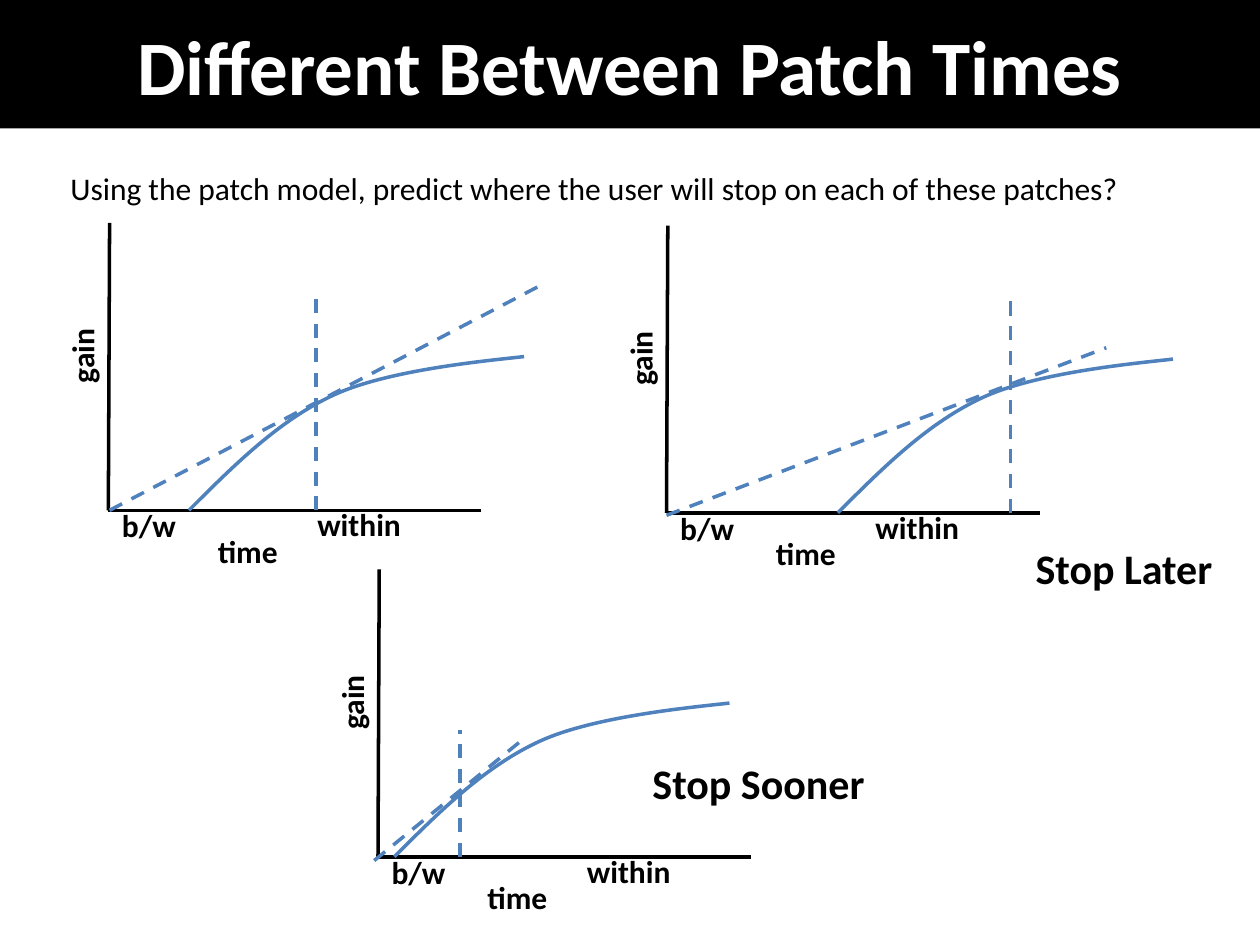
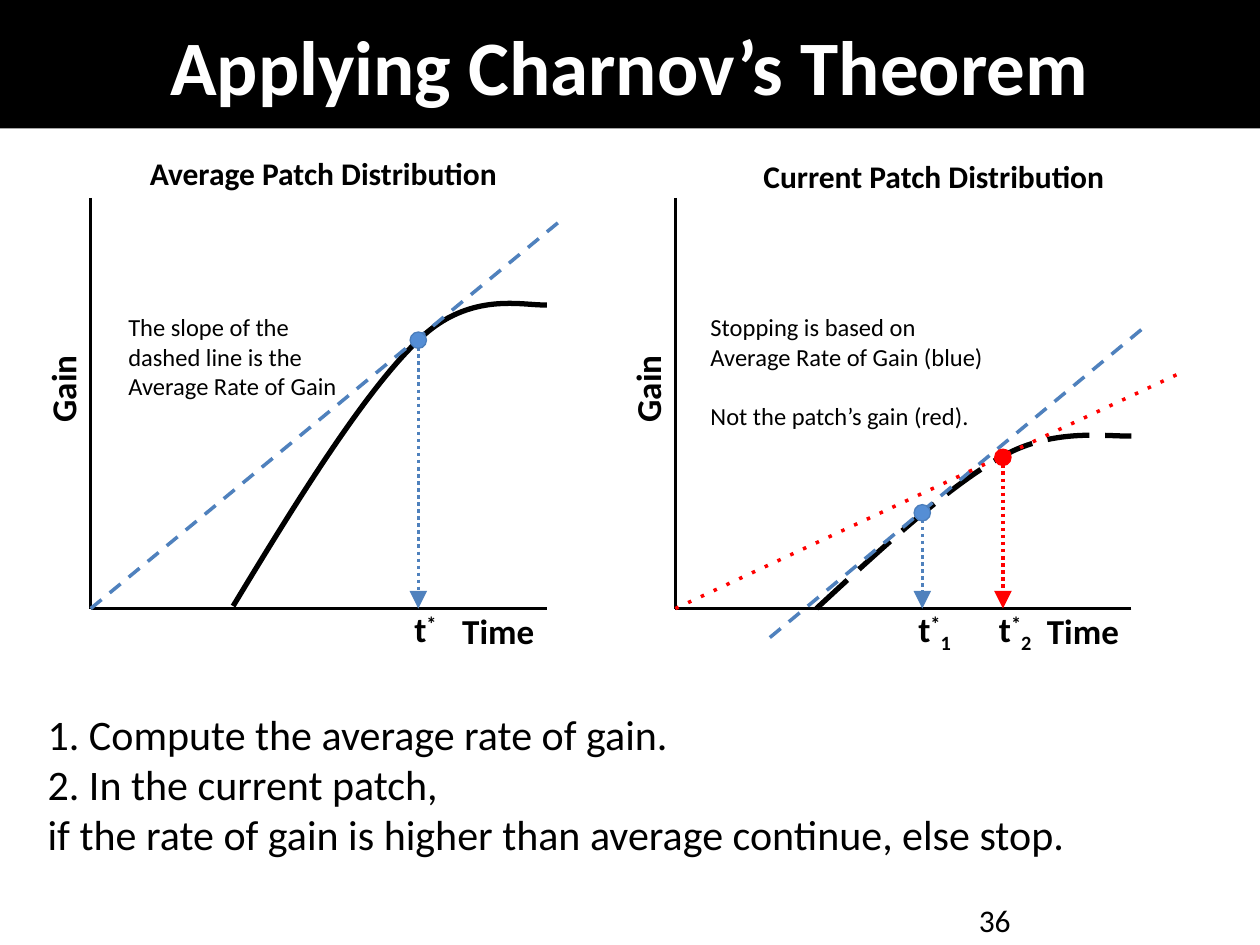
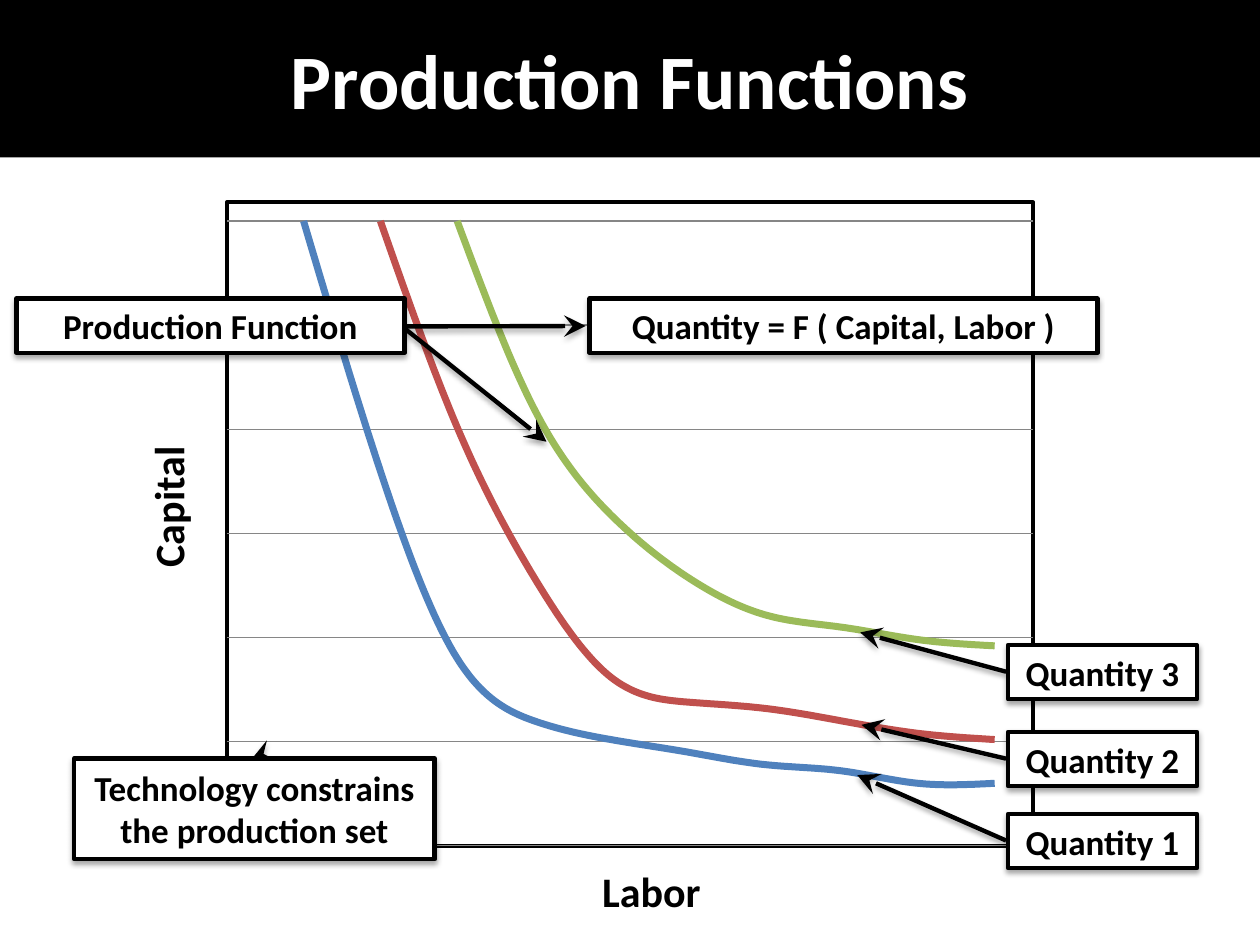
from lxml import etree
from pptx import Presentation
from pptx.chart.data import XyChartData
from pptx.dml.color import RGBColor
from pptx.enum.chart import XL_CHART_TYPE
from pptx.enum.shapes import MSO_CONNECTOR, MSO_SHAPE
from pptx.enum.text import MSO_ANCHOR, PP_ALIGN
from pptx.oxml import parse_xml
from pptx.oxml.ns import nsdecls, qn
from pptx.util import Inches, Pt

STRAIGHT = MSO_CONNECTOR.STRAIGHT
OVAL, CALLOUT = MSO_SHAPE.OVAL, MSO_SHAPE.LINE_CALLOUT_1
SMOOTH_SCATTER = XL_CHART_TYPE.XY_SCATTER_SMOOTH_NO_MARKERS
MIDDLE = MSO_ANCHOR.MIDDLE
LEFT, CENTER = PP_ALIGN.LEFT, PP_ALIGN.CENTER

BLACK = RGBColor(0x00, 0x00, 0x00)
WHITE = RGBColor(0xFF, 0xFF, 0xFF)
BLUE = RGBColor(0x4F, 0x81, 0xBD)
RED = RGBColor(0xFF, 0x00, 0x00)
BRICK = RGBColor(0xC0, 0x50, 0x4D)
GREEN = RGBColor(0x9B, 0xBB, 0x59)
GRAY = RGBColor(0x86, 0x86, 0x86)
DOT_FILL = RGBColor(0x55, 0x8E, 0xD5)
DOT_LINE = RGBColor(0x4B, 0x7E, 0xBC)

FONT = "Calibri"
WIDTH, HEIGHT = 10, 7.5
LINE_HEIGHTS = {18: 0.4, 20: 0.44, 24: 0.5}
DOT_SIZE = 0.13
LAYOUT_TITLE_ONLY = 5


# Text

def style(para, size, bold=False, color=BLACK, align=LEFT):
    para.alignment = align
    para.font.name = FONT
    para.font.size = Pt(size)
    para.font.bold = bold
    para.font.color.rgb = color


def fill_text(frame, lines, size, **look):
    frame.text = "\n".join(lines)
    for para in frame.paragraphs:
        style(para, size, **look)


def add_text(page, left, top, width, lines, size, height=None, bold=False,
             turn=0, wrap=False):
    height = height or LINE_HEIGHTS[size]
    box = page.shapes.add_textbox(Inches(left), Inches(top), Inches(width), Inches(height))
    box.rotation = turn
    box.text_frame.word_wrap = wrap
    fill_text(box.text_frame, lines, size, bold=bold)
    return box


def add_time_label(page, left, top, index):
    """Write t with a raised star and an optional lowered index."""
    box = add_text(page, left, top, 0.5 if index else 0.4, ["t"], 20, bold=True)
    para = box.text_frame.paragraphs[0]
    for text, baseline in (("*", 30000), (index, -25000)):
        if text:
            span = para.add_run()
            span.text = text
            span._r.get_or_add_rPr().set("baseline", str(baseline))


# Lines and curves

def draw_with(shape, color, width, dash=None, arrow=None):
    shape.line.color.rgb = color
    shape.line.width = Pt(width)
    outline = shape._element.spPr.find(qn("a:ln"))
    if dash:
        etree.SubElement(outline, qn("a:prstDash")).set("val", dash)
    if arrow:
        head = etree.SubElement(outline, qn("a:tailEnd"))
        for name, value in (("type", arrow), ("w", "lg"), ("len", "lg")):
            head.set(name, value)


def add_line(page, start, end, color=BLACK, dash=None, arrow=None):
    line = page.shapes.add_connector(STRAIGHT, *map(Inches, (*start, *end)))
    draw_with(line, color, 2, dash, arrow)
    etree.SubElement(line._element.spPr, qn("a:effectLst"))


def add_curve(page, points, color, width, dash=None):
    """Join cubic pieces; each piece starts where the one before it ends."""
    corners = [(Inches(x), Inches(y)) for x, y in points]
    builder = page.shapes.build_freeform(*corners[0])
    builder.add_line_segments(corners[3::3], close=False)
    curve = builder.convert_to_shape()
    segments = curve._element.spPr.findall(".//" + qn("a:lnTo"))
    for piece, segment in enumerate(segments):
        cubic = etree.Element(qn("a:cubicBezTo"))
        for x, y in corners[3 * piece + 1:3 * piece + 4]:
            point = etree.SubElement(cubic, qn("a:pt"))
            point.set("x", str(x - curve.left))
            point.set("y", str(y - curve.top))
        segment.getparent().replace(segment, cubic)
    curve.fill.background()
    curve.shadow.inherit = False
    draw_with(curve, color, width, dash)


# Plots made of lines; offsets run right and up from the plot's origin

def offset(origin, right, up):
    return origin[0] + right, origin[1] - up


def add_axes(page, origin, width, height, lean=0):
    add_line(page, offset(origin, lean, height), origin)
    add_line(page, offset(origin, width, 0), origin)


def add_patch_plot(page, origin, between, gain_line, stop_at, stop_height):
    add_axes(page, origin, 2.96, 2.28, lean=0.01)
    for text, right, up, width, turn in (
            ("b/w", 0.01, 0.08, 0.63, 0), ("within", 1.56, 0.09, 0.87, 0),
            ("time", 0.77, -0.12, 0.68, 0), ("gain", -0.53, 1.43, 0.64, 270)):
        add_text(page, *offset(origin, right, up), width, [text], 18, bold=True, turn=turn)
    gain = ((0, 0), (0.36, 0.36), (0.72, 0.72), (1.16, 0.92),
            (1.6, 1.12), (2.4, 1.19), (2.66, 1.22))
    add_curve(page, [offset(origin, between + x, y) for x, y in gain], BLUE, 2)
    start, end = gain_line
    add_line(page, offset(origin, *start), offset(origin, *end), BLUE, "dash")
    add_line(page, offset(origin, stop_at, 0), offset(origin, stop_at, stop_height),
             BLUE, "dash")


def add_distribution(page, origin, heading, heading_at, width, gain, dash=None):
    add_axes(page, origin, 3.62, 3.26)
    add_text(page, *offset(origin, *heading_at), width, [heading], 18, bold=True)
    add_text(page, *offset(origin, 2.85, 0.04), 0.78, ["Time"], 20, bold=True)
    add_text(page, *offset(origin, -0.59, 1.97), 0.74, ["Gain"], 20, bold=True, turn=270)
    add_curve(page, [offset(origin, *point) for point in gain], BLACK, 3, dash)


def add_stop(page, origin, right, up, color, fill, edge, index=None):
    point = offset(origin, right, up)
    add_line(page, point, offset(origin, right, 0), color, "sysDot", "triangle")
    corner = [Inches(value - DOT_SIZE / 2) for value in point]
    dot = page.shapes.add_shape(OVAL, *corner, Inches(DOT_SIZE), Inches(DOT_SIZE))
    dot.shadow.inherit = False
    dot.fill.solid()
    dot.fill.fore_color.rgb = fill
    draw_with(dot, edge, 0.75)
    add_time_label(page, *offset(origin, right - 0.13, 0.06), index)


# Production chart and its callouts

def add_isoquants(page):
    curves = (
        ("Series 1", BLUE, (100, 60, 30, 20, 17, 15, 13, 12, 10, 10)),
        ("Series 2", BRICK, (None, 100, 67, 43, 27, 23, 22, 20, 18, 17)),
        ("Series 3", GREEN, (None, None, 100, 70, 53, 43, 37, 35, 33, 32)),
    )
    data = XyChartData()
    for name, _, values in curves:
        series = data.add_series(name)
        for labor, capital in enumerate(values, 1):
            series.add_data_point(labor, capital)
    frame = page.shapes.add_chart(SMOOTH_SCATTER, Inches(WIDTH / 6), Inches(HEIGHT / 5),
                                  Inches(WIDTH * 2 / 3), Inches(5.32), data)
    chart = frame.chart
    chart.has_legend = chart.has_title = False
    chart.font.name, chart.font.size = FONT, Pt(10)
    chart.font.color.rgb = BLACK
    chart.plots[0].vary_by_categories = False
    for series, (_, color, _) in zip(chart.plots[0].series, curves):
        series.format.line.color.rgb = color
        series.format.line.width = Pt(4)
        smooth_and_clear(series._element)
    for axis, top in ((chart.category_axis, 10.5), (chart.value_axis, 103)):
        axis.minimum_scale, axis.maximum_scale = 0, top
        axis.visible = False
    chart.category_axis.has_major_gridlines = False
    chart.value_axis.major_unit = 16.67
    chart.value_axis.has_major_gridlines = True
    grid = chart.value_axis.major_gridlines.format.line
    grid.color.rgb, grid.width = GRAY, Pt(0.75)
    frame_plot_area(chart)


def smooth_and_clear(series):
    """Smooth a scatter series and leave its missing values blank."""
    smooth = series.find(qn("c:smooth"))
    if smooth is None:
        smooth = etree.SubElement(series, qn("c:smooth"))
    smooth.set("val", "1")
    for point in series.findall(".//" + qn("c:pt")):
        if point.findtext(qn("c:v")) in ("None", ""):
            point.getparent().remove(point)


def frame_plot_area(chart):
    area = chart._chartSpace.find(".//" + qn("c:plotArea"))
    for old in area.findall(qn("c:layout")):
        area.remove(old)
    area.insert(0, parse_xml(
        f'<c:layout {nsdecls("c")}><c:manualLayout><c:layoutTarget val="inner"/>'
        '<c:xMode val="edge"/><c:yMode val="edge"/><c:x val="0.02"/><c:y val="0.02"/>'
        '<c:w val="0.96"/><c:h val="0.96"/></c:manualLayout></c:layout>'))
    area.append(parse_xml(
        f'<c:spPr {nsdecls("c", "a")}><a:noFill/><a:ln w="{Pt(2.25)}"><a:solidFill>'
        f'<a:srgbClr val="{BLACK}"/></a:solidFill></a:ln></c:spPr>'))


def add_callout(page, left, top, width, lines, pointer, height=0.43):
    box = page.shapes.add_shape(CALLOUT, *map(Inches, (left, top, width, height)))
    for number, share in enumerate(pointer):
        box.adjustments[number] = share
    box.fill.solid()
    box.fill.fore_color.rgb = WHITE
    draw_with(box, BLACK, 2.5, arrow="stealth")
    box.shadow.inherit = False
    box._element.spPr.find(qn("a:effectLst")).append(parse_xml(
        f'<a:outerShdw {nsdecls("a")} blurRad="{Pt(3.1)}" dist="{Pt(1.8)}" dir="5400000" '
        f'rotWithShape="0"><a:srgbClr val="{BLACK}"><a:alpha val="35000"/></a:srgbClr>'
        '</a:outerShdw>'))
    box.text_frame.word_wrap = True
    box.text_frame.vertical_anchor = MIDDLE
    fill_text(box.text_frame, lines, 20, bold=True, align=CENTER)


# Slides

def add_page(deck, heading, band=1.02):
    page = deck.slides.add_slide(deck.slide_layouts[LAYOUT_TITLE_ONLY])
    title = page.shapes.title
    title.left, title.top = 0, 0
    title.width, title.height = Inches(WIDTH), Inches(band)
    title.fill.solid()
    title.fill.fore_color.rgb = BLACK
    title.text_frame.vertical_anchor = MIDDLE
    fill_text(title.text_frame, [heading], 44, bold=True, color=WHITE, align=CENTER)
    return page


def build_patch_times(deck):
    page = add_page(deck, "Different Between Patch Times")
    add_text(page, 0.46, 1.29, 8.62, ["Using the patch model, predict where the user "
                                      "will stop on each of these patches?"], 18)
    add_patch_plot(page, (0.86, 4.05), 0.64, ((0.01, 0), (3.44, 1.79)), 1.65, 1.7)
    add_patch_plot(page, (5.29, 4.07), 1.36, ((0, -0.02), (3.49, 1.31)), 2.73, 1.72)
    add_patch_plot(page, (3, 6.8), 0.13, ((-0.03, -0.03), (1.16, 0.94)), 0.65, 1.01)
    add_text(page, 8.12, 4.26, 1.62, ["Stop Later"], 24, bold=True)
    add_text(page, 5.08, 5.96, 1.9, ["Stop Sooner"], 24, bold=True)


def build_theorem(deck):
    page = add_page(deck, "Applying Charnov’s Theorem")
    average, current = (0.72, 4.83), (5.36, 4.83)

    # Average patch
    add_distribution(page, average, "Average Patch Distribution", (0.37, 3.66), 3.02,
                     ((1.13, 0.02), (1.65, 0.88), (2.18, 1.73), (2.6, 2.13),
                      (3.01, 2.53), (3.44, 2.4), (3.62, 2.41)))
    add_line(page, average, offset(average, 3.73, 3.08), BLUE, "dash")
    add_stop(page, average, 2.6, 2.13, BLUE, DOT_FILL, DOT_LINE)
    add_text(page, 0.92, 2.43, 2, ["The slope of the dashed line is the Average Rate of Gain"],
             14, height=0.81, wrap=True)

    # Current patch
    add_distribution(page, current, "Current Patch Distribution", (0.6, 3.63), 2.95,
                     ((1.12, 0), (1.65, 0.49), (2.18, 0.98), (2.6, 1.21),
                      (3.01, 1.44), (3.44, 1.36), (3.62, 1.37)), "lgDash")
    add_line(page, offset(current, 0.75, -0.23), offset(current, 3.73, 2.24), BLUE, "dash")
    add_line(page, current, offset(current, 4.03, 1.88), RED, "dot")
    add_stop(page, current, 1.96, 0.76, BLUE, DOT_FILL, DOT_LINE, "1")
    add_stop(page, current, 2.6, 1.2, RED, RED, RED, "2")
    note = add_text(page, 5.54, 2.43, 2.39,
                    ["Stopping is based on", "Average Rate of Gain (blue)",
                     "Not the patch’s gain (red)."], 14, height=1.04)
    note.text_frame.paragraphs[-1].space_before = Pt(17)

    # Rule and page number
    add_text(page, 0.28, 5.57, 8.4,
             ["1. Compute the average rate of gain.", "2. In the current patch,",
              "if the rate of gain is higher than average continue, else stop."],
             24, height=1.31)
    add_text(page, 7.67, 7.1, 2.33, ["36"], 18, wrap=True)


def build_production(deck):
    page = add_page(deck, "Production Functions", band=HEIGHT / 6)
    add_isoquants(page)
    add_text(page, 0.74, 3.76, 1.18, ["Capital"], 24, bold=True, turn=270)
    add_text(page, 4.68, 6.82, 0.99, ["Labor"], 24, bold=True)
    for number, top, tip in ((1, 6.46, (-0.717, -0.797)), (2, 5.81, (-0.132, -0.775)),
                             (3, 5.12, (-0.234, -0.782))):
        add_callout(page, 8, top, 1.5, [f"Quantity {number}"], (0.492, -0.01, *tip))
    add_callout(page, 0.13, 2.37, 3.08, ["Production Function"], (0.543, 0.999, 2.643, 1.366))
    add_callout(page, 4.68, 2.37, 4.03, ["Quantity = F ( Capital, Labor )"],
                (0.514, -0.363, 0.507, -0.008))
    add_callout(page, 0.59, 6.02, 2.86, ["Technology constrains", "the production set"],
                (-0.02, 0.509, 0.008, 0.492), height=0.8)


def main():
    deck = Presentation()
    deck.slide_width, deck.slide_height = Inches(WIDTH), Inches(HEIGHT)
    build_patch_times(deck)
    build_theorem(deck)
    build_production(deck)
    deck.save("out.pptx")


if __name__ == "__main__":
    main()
